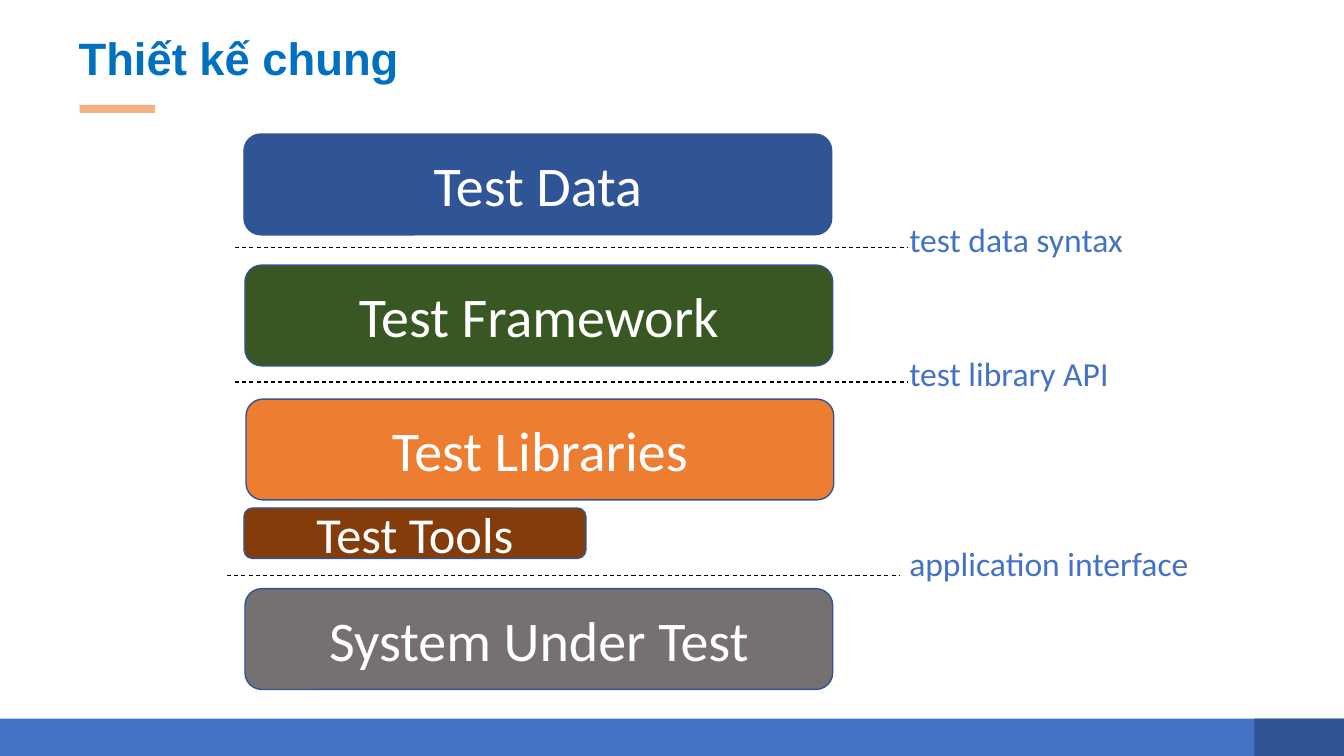
import pptx
import pptx.util
import pptx.dml.color
import pptx.enum.dml
import pptx.enum.shapes
import pptx.enum.text
import pptx.oxml

Inches = pptx.util.Inches
Pt = pptx.util.Pt
SHAPE = pptx.enum.shapes.MSO_SHAPE
ALIGN = pptx.enum.text.PP_ALIGN
ANCHOR = pptx.enum.text.MSO_ANCHOR

SLIDE_W, SLIDE_H = 13.33, 7.5
LAYER_W, LAYER_H = 5.83, 1
LINE_W = 6.67

LAYERS = [
    ("Test Data", 0.17, 0, LAYER_W, LAYER_H, 40, "2F5597"),
    ("Test Framework", 0.18, 1.3, LAYER_W, LAYER_H, 40, "385723"),
    ("Test Libraries", 0.19, 2.63, LAYER_W, LAYER_H, 40, "ED7D31"),
    ("Test Tools", 0.17, 3.71, 3.39, 0.5, 36, "843C0B"),
    ("System Under Test", 0.18, 4.51, LAYER_W, LAYER_H, 40, "767171"),
]
INTERFACES = [
    ("test data syntax", 0.08, 1.13, 2.34, 0.34),
    ("test library API", 0.08, 2.46, 2.2, 0.34),
    ("application interface", 0, 4.38, 3, 0.37),
]


def rgb(color):
    return pptx.dml.color.RGBColor.from_string(color)


def format_text(tf, size, color, font="Calibri", bold=False):
    f = tf.paragraphs[0].runs[0].font
    f.name, f.size, f.bold = font, Pt(size), bold
    f.color.rgb = rgb(color)


def add_block(s, kind, x, y, w, h, fill, line=None):
    sp = s.shapes.add_shape(kind, Inches(x), Inches(y), Inches(w), Inches(h))
    sp.shadow.inherit = False
    sp.fill.solid()
    sp.fill.fore_color.rgb = rgb(fill)
    if line:
        sp.line.color.rgb = rgb(line)
        sp.line.width = Pt(1)
    else:
        sp.line.fill.background()
    return sp


def add_footer(s, x, y, w, h):
    corner_w = 0.89
    add_block(s, SHAPE.RECTANGLE, x, y, w, h, "4472C4")
    add_block(s, SHAPE.RECTANGLE, x + w - corner_w, y, corner_w, h, "2F5597")


def add_title(s, x, y, w, h):
    add_block(s, SHAPE.RECTANGLE, x + 0.11, y + h + 0.12, 0.75, 0.08, "F4B183")
    sp = s.shapes.title
    sp.left, sp.top, sp.width, sp.height = map(Inches, (x, y, w, h))
    tf = sp.text_frame
    tf.text = "Thiết kế chung"
    tf.vertical_anchor = ANCHOR.MIDDLE
    p = tf.paragraphs[0]
    p.alignment = ALIGN.LEFT
    p.line_spacing = 0.9
    format_text(tf, 32.4, "0070C0", "Arial", True)


def add_layer(s, x, y, w, h, text, size, fill):
    sp = add_block(s, SHAPE.ROUNDED_RECTANGLE, x, y, w, h, fill, "325491")
    tf = sp.text_frame
    tf.text = text
    tf.vertical_anchor = ANCHOR.MIDDLE
    tf.paragraphs[0].alignment = ALIGN.CENTER
    format_text(tf, size, "FFFFFF")


def add_divider(s, x, y, w):
    c = s.shapes.add_connector(pptx.enum.shapes.MSO_CONNECTOR.STRAIGHT,
                               Inches(x), Inches(y), Inches(x + w), Inches(y))
    c.line.color.rgb = rgb("000000")
    c.line.width = Pt(0.75)
    c.line.dash_style = pptx.enum.dml.MSO_LINE.DASH
    c._element.spPr.append(pptx.oxml.parse_xml(
        '<a:effectLst xmlns:a="http://schemas.openxmlformats.org/drawingml/2006/main"/>'))


def add_label(s, x, y, w, h, text):
    sp = s.shapes.add_textbox(Inches(x), Inches(y), Inches(w), Inches(h))
    tf = sp.text_frame
    tf.text = text
    tf.word_wrap = False
    tf.auto_size = pptx.enum.text.MSO_AUTO_SIZE.SHAPE_TO_FIT_TEXT
    format_text(tf, 24, "4472C4")


def add_architecture(s, x, y):
    for text, dx, dy, w, h, size, fill in LAYERS:
        add_layer(s, x + dx, y + dy, w, h, text, size, fill)
    for text, dx, dy, w, rise in INTERFACES:
        add_divider(s, x + dx, y + dy, LINE_W)
        add_label(s, x + LINE_W, y + dy - rise, w, 0.5, text)


def main():
    prs = pptx.Presentation()
    prs.slide_width, prs.slide_height = Inches(SLIDE_W), Inches(SLIDE_H)
    s = prs.slides.add_slide(prs.slide_layouts[5])
    add_footer(s, 0, 7.13, SLIDE_W, 0.37)
    add_title(s, 0.68, 0.29, 11.98, 0.63)
    add_architecture(s, 2.25, 1.33)
    prs.save("out.pptx")


if __name__ == "__main__":
    main()
